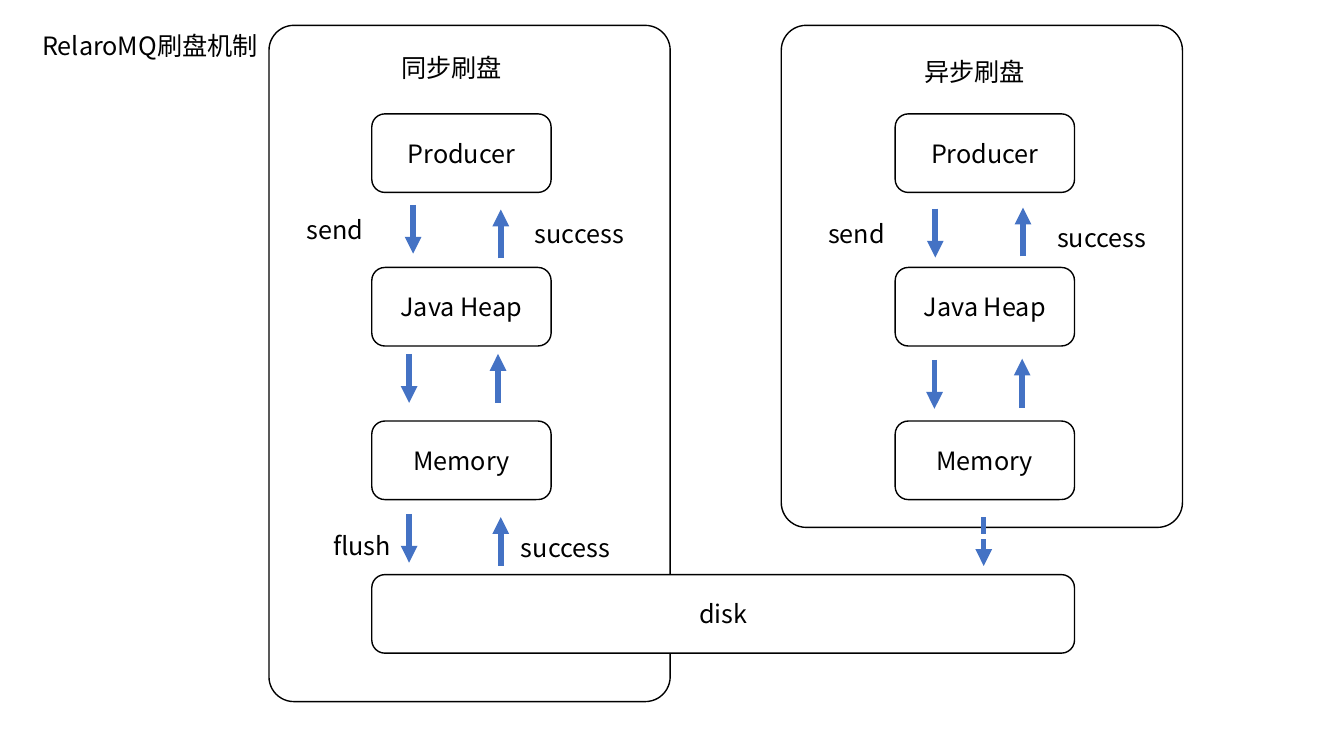
from dataclasses import dataclass

from lxml.etree import SubElement
from pptx import Presentation
from pptx.dml.color import RGBColor
from pptx.enum.dml import MSO_LINE
from pptx.enum.shapes import MSO_CONNECTOR, MSO_SHAPE
from pptx.enum.text import MSO_ANCHOR, MSO_AUTO_SIZE, PP_ALIGN
from pptx.oxml.ns import qn
from pptx.shapes.autoshape import Shape
from pptx.slide import Slide
from pptx.text.text import TextFrame
from pptx.util import Cm, Pt

BLACK = RGBColor(0x00, 0x00, 0x00)
WHITE = RGBColor(0xFF, 0xFF, 0xFF)
BLUE = RGBColor(0x44, 0x72, 0xC4)
FONT = "Noto Sans CJK SC"

# Centimetres
STAGES = ("Producer", "Java Heap", "Memory")
STAGE_WIDTH, STAGE_HEIGHT = 4.52, 1.98
FIRST_STAGE_TOP, STAGE_STEP = 2.87, 3.87
PANEL_TOP, PANEL_WIDTH = 0.64, 10.11
ARROW_LENGTH = 1.23
LABEL_HEIGHT = 1.02


@dataclass(frozen=True)
class Label:
    """Free text beside the boxes."""
    wording: str
    left: float
    top: float
    width: float


@dataclass(frozen=True)
class Arrow:
    """A vertical arrow, placed by its upper end."""
    x: float
    top: float
    upward: bool = False
    dashed: bool = False


@dataclass(frozen=True)
class FlushMode:
    """One flushing mode: its panel, stage column, labels and arrows."""
    panel_left: float
    panel_height: float
    stage_left: float
    labels: tuple[Label, ...]
    arrows: tuple[Arrow, ...]


SYNC = FlushMode(
    6.78, 17.04, 9.37,
    (
        Label("同步刷盘", 9.86, 1.19, 3.99),
        Label("send", 7.47, 5.28, 2.41),
        Label("success", 13.23, 5.38, 3.18),
        Label("flush", 8.15, 13.23, 2.41),
        Label("success", 12.88, 13.28, 3.18),
    ),
    (
        Arrow(10.41, 5.16), Arrow(12.62, 5.28, upward=True),
        Arrow(10.31, 8.92), Arrow(12.55, 8.92, upward=True),
        Arrow(10.31, 12.95), Arrow(12.62, 13.03, upward=True),
    ),
)
ASYNC = FlushMode(
    19.69, 12.65, 22.56,
    (
        Label("异步刷盘", 23.04, 1.3, 3.99),
        Label("send", 20.62, 5.38, 2.41),
        Label("success", 26.39, 5.49, 3.18),
    ),
    (
        Arrow(23.57, 5.26), Arrow(25.78, 5.23, upward=True),
        Arrow(23.55, 9.07), Arrow(25.76, 9.04, upward=True),
        Arrow(24.79, 13.03, dashed=True),
    ),
)
MODES = (ASYNC, SYNC)


def write(frame: TextFrame, wording: str, align: PP_ALIGN, anchor: MSO_ANCHOR) -> None:
    """Write one black run into a text frame."""
    frame.word_wrap = True
    frame.auto_size = MSO_AUTO_SIZE.NONE
    frame.vertical_anchor = anchor
    paragraph = frame.paragraphs[0]
    paragraph.alignment = align
    run = paragraph.add_run()
    run.text = wording
    run.font.name = FONT
    run.font.size = Pt(18)
    run.font.color.rgb = BLACK
    SubElement(run.font._element, qn("a:ea"), typeface=FONT)


def draw_box(slide: Slide, left: float, top: float, width: float, height: float) -> Shape:
    """Draw a white rounded box with a thin black outline."""
    box = slide.shapes.add_shape(
        MSO_SHAPE.ROUNDED_RECTANGLE, Cm(left), Cm(top), Cm(width), Cm(height))
    box.shadow.inherit = False
    box.fill.solid()
    box.fill.fore_color.rgb = WHITE
    box.line.color.rgb = BLACK
    box.line.width = Pt(1)
    return box


def draw_stage(slide: Slide, wording: str, left: float, row: int,
               width: float = STAGE_WIDTH) -> None:
    """Draw a captioned box on the given row."""
    stage = draw_box(slide, left, FIRST_STAGE_TOP + row * STAGE_STEP, width, STAGE_HEIGHT)
    write(stage.text_frame, wording, PP_ALIGN.CENTER, MSO_ANCHOR.MIDDLE)


def draw_label(slide: Slide, label: Label) -> None:
    """Draw free text."""
    box = slide.shapes.add_textbox(
        Cm(label.left), Cm(label.top), Cm(label.width), Cm(LABEL_HEIGHT))
    write(box.text_frame, label.wording, PP_ALIGN.LEFT, MSO_ANCHOR.TOP)


def draw_arrow(slide: Slide, arrow: Arrow) -> None:
    """Draw a thick blue vertical arrow."""
    start, end = arrow.top, arrow.top + ARROW_LENGTH
    if arrow.upward:
        start, end = end, start
    connector = slide.shapes.add_connector(
        MSO_CONNECTOR.STRAIGHT, Cm(arrow.x), Cm(start), Cm(arrow.x), Cm(end))
    connector.line.color.rgb = BLUE
    connector.line.width = Pt(4)
    if arrow.dashed:
        connector.line.dash_style = MSO_LINE.SQUARE_DOT
    properties = connector.element.spPr
    SubElement(properties.find(qn("a:ln")), qn("a:tailEnd"), type="triangle")
    SubElement(properties, qn("a:effectLst"))


def place_title(slide: Slide, wording: str) -> None:
    """Move the title to the top left, in front of the panels."""
    title = slide.shapes.title
    title.left, title.top = Cm(0.81), Cm(0.64)
    title.width, title.height = Cm(11.86), Cm(LABEL_HEIGHT)
    write(title.text_frame, wording, PP_ALIGN.LEFT, MSO_ANCHOR.TOP)
    slide.shapes.element.append(title.element)


def main() -> None:
    """Build the slide and save it."""
    presentation = Presentation()
    presentation.slide_width, presentation.slide_height = Cm(33.87), Cm(19.05)
    slide = presentation.slides.add_slide(presentation.slide_layouts[5])

    for mode in MODES:
        panel = draw_box(slide, mode.panel_left, PANEL_TOP, PANEL_WIDTH, mode.panel_height)
        panel.adjustments[0] = 0.062
    place_title(slide, "RelaroMQ刷盘机制")

    for mode in MODES:
        for row, wording in enumerate(STAGES):
            draw_stage(slide, wording, mode.stage_left, row)
        for label in mode.labels:
            draw_label(slide, label)
        for arrow in mode.arrows:
            draw_arrow(slide, arrow)

    disk_width = ASYNC.stage_left + STAGE_WIDTH - SYNC.stage_left
    draw_stage(slide, "disk", SYNC.stage_left, len(STAGES), disk_width)
    presentation.save("out.pptx")


main()
